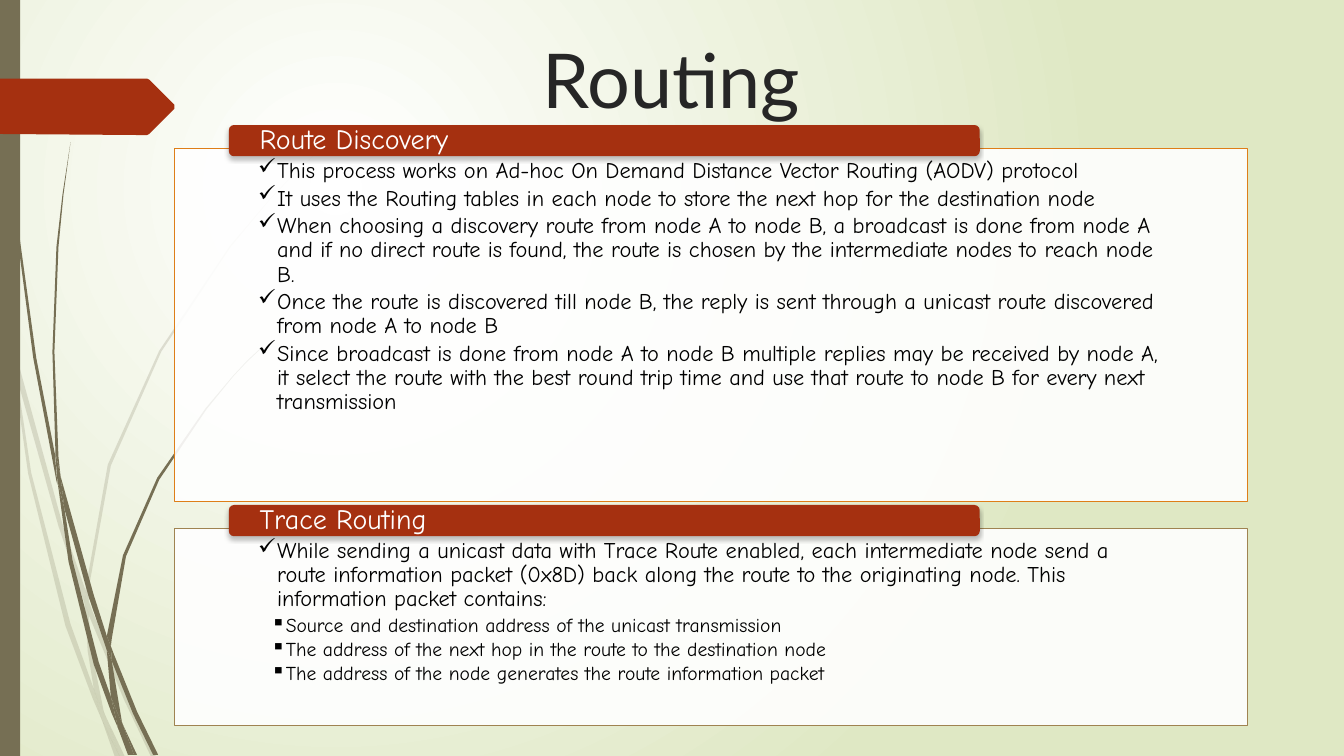
from lxml import etree
from pptx import Presentation
from pptx.dml.color import RGBColor
from pptx.enum.shapes import MSO_SHAPE
from pptx.enum.text import MSO_ANCHOR, PP_ALIGN
from pptx.oxml import parse_xml
from pptx.oxml.ns import nsdecls, qn
from pptx.util import Emu, Inches, Pt

RECT, ROUND_RECT = MSO_SHAPE.RECTANGLE, MSO_SHAPE.ROUNDED_RECTANGLE
TOP, MIDDLE = MSO_ANCHOR.TOP, MSO_ANCHOR.MIDDLE
LEFT, CENTER = PP_ALIGN.LEFT, PP_ALIGN.CENTER

WHITE = RGBColor(0xFF, 0xFF, 0xFF)
BLACK = RGBColor(0, 0, 0)
INK = RGBColor(0x26, 0x26, 0x26)
LIME = RGBColor(0xDF, 0xE8, 0xC4)
OLIVE = RGBColor(0x76, 0x6F, 0x54)
RUST = RGBColor(0xA5, 0x30, 0x10)
ORANGE = RGBColor(0xDE, 0x7E, 0x18)
TAN = RGBColor(0x9F, 0x83, 0x51)
HEAD_FONT, BODY_FONT = "Lato", "Comic Neue"

# Outlines in hundredths of an inch
PALE_WISPS = [
    [(11, 350), (9, 322), (0, 282), (0, 299), (10, 344)],
    [(58, 522), (84, 599), (85, 586), (62, 520), (14, 345), (17, 376)],
    [(92, 607), (88, 596), (88, 610), (123, 694), (150, 751), (155, 751), (127, 692)],
    [(119, 751), (124, 751), (105, 711)],
    [(93, 683), (70, 619), (31, 469), (17, 376), (11, 350), (28, 470), (65, 621),
     (92, 693), (101, 714), (99, 707)],
    [(84, 599), (87, 646), (93, 683), (96, 692), (105, 711), (103, 706), (91, 646),
     (88, 610), (88, 608)],
    [(88, 584), (110, 462), (160, 349), (229, 245), (268, 198), (290, 175), (312, 154),
     (312, 153), (289, 175), (268, 197), (228, 244), (158, 348), (107, 461), (85, 584),
     (85, 586), (88, 596)],
    [(101, 714), (114, 751), (119, 751)],
    [(88, 608), (88, 610), (88, 596), (85, 586), (84, 599)],
    [(96, 692), (93, 683), (99, 707), (101, 714), (119, 751), (105, 711)],
]
DARK_WISPS = [
    [(7, 110), (17, 233), (33, 355), (56, 477), (57, 481), (55, 457), (55, 453),
     (36, 355), (19, 232), (8, 109), (5, 48), (4, 0), (3, 0), (4, 48)],
    [(88, 592), (106, 645), (106, 633), (106, 631), (93, 590), (60, 472), (64, 505)],
    [(113, 649), (110, 641), (111, 656), (132, 708), (152, 749), (157, 749), (136, 706)],
    [(110, 691), (98, 657), (72, 556), (64, 505), (57, 477), (68, 557), (93, 659),
     (111, 708), (117, 722), (116, 717)],
    [(60, 472), (58, 453), (54, 349), (58, 245), (63, 193), (70, 141), (62, 193),
     (56, 245), (52, 349), (55, 449)],
    [(133, 749), (136, 749), (122, 719)],
    [(57, 477), (64, 505), (60, 472), (55, 449), (55, 453)],
    [(111, 633), (125, 552), (158, 476), (205, 406), (231, 374), (245, 359), (261, 344),
     (260, 344), (245, 358), (231, 373), (204, 405), (156, 474), (122, 551), (106, 631),
     (110, 641)],
    [(117, 722), (127, 749), (131, 749)],
    [(106, 645), (110, 691), (116, 706), (122, 719), (121, 716), (111, 656), (109, 651)],
    [(106, 645), (109, 651), (111, 656), (110, 641), (106, 631), (106, 633)],
    [(116, 706), (110, 691), (116, 717), (117, 722), (130, 749), (133, 749), (122, 719)],
]
TAG = [(173, 108), (148, 133), (146, 134), (136, 134), (0, 133), (0, 78), (136, 78),
       (146, 78), (148, 79), (173, 104)]

CHECK, SQUARE = "\u2713", "\u25aa"
DISCOVERY = [(CHECK, t) for t in (
    "This process works on Ad-hoc On Demand Distance Vector Routing (AODV) protocol",
    "It uses the Routing tables in each node to store the next hop for the destination node",
    "When choosing a discovery route from node A to node B, a broadcast is done from node A "
    "and if no direct route is found, the route is chosen by the intermediate nodes to reach "
    "node B.",
    "Once the route is discovered till node B, the reply is sent through a unicast route "
    "discovered from node A to node B",
    "Since broadcast is done from node A to node B multiple replies may be received by node A, "
    "it select the route with the best round trip time and use that route to node B for every "
    "next transmission",
)]
TRACE = [(CHECK, "While sending a unicast data with Trace Route enabled, each intermediate node "
          "send a route information packet (0x8D) back along the route to the originating node. "
          "This information packet contains:")] + [(SQUARE, t) for t in (
    "Source and destination address of the unicast transmission",
    "The address of the next hop in the route to the destination node",
    "The address of the node generates the route information packet",
)]
# Bullet: (text size, left margin, hanging indent)
LEVELS = {CHECK: (16, 0.19, 0.19), SQUARE: (14, 0.25, 0.12)}


def paint(shape, color, alpha=100, line=None):
    """Fill a shape, with optional opacity in percent and outline colour."""
    shape.shadow.inherit = False
    shape.fill.solid()
    shape.fill.fore_color.rgb = color
    if alpha < 100:
        clr = shape.fill._xPr.find(qn("a:solidFill"))[0]
        etree.SubElement(clr, qn("a:alpha")).set("val", str(alpha * 1000))
    if line is None:
        shape.line.fill.background()
    else:
        shape.line.color.rgb = line
        shape.line.width = Pt(0.75)


def write(p, text, size=16, font=BODY_FONT, color=BLACK, align=LEFT, spacing=0.9, after=0):
    """Put formatted text into a paragraph."""
    p.alignment, p.line_spacing, p.space_after = align, spacing, Pt(after)
    r = p.add_run()
    r.text = text
    r.font.size, r.font.name = Pt(size), font
    r.font.color.rgb = color


def add_bullet(p, char, margin, hang):
    """Give a paragraph a bullet with a hanging indent."""
    pPr = p._p.get_or_add_pPr()
    pPr.set("marL", str(Inches(margin)))
    pPr.set("indent", str(-Inches(hang)))
    etree.SubElement(pPr, qn("a:buChar")).set("char", char)


def frame(shape, insets, anchor):
    """Set insets, wrapping and anchor, and return the text frame."""
    tf = shape.text_frame
    tf.word_wrap, tf.vertical_anchor = True, anchor
    tf.margin_left, tf.margin_top, tf.margin_right, tf.margin_bottom = map(Inches, insets)
    return tf


def add_outline(s, points, left, top, color, alpha=100):
    """Draw a closed outline offset from a left and top position."""
    builder = s.shapes.build_freeform(*points[0], scale=Inches(0.01))
    builder.add_line_segments(points[1:], close=True)
    paint(builder.convert_to_shape(Inches(left), Inches(top)), color, alpha)


def add_background(s):
    """Fill the background with a radial gradient."""
    fill = s.background.fill
    fill.gradient()
    for stop, color, position in zip(fill.gradient_stops, (WHITE, LIME), (0, 1)):
        stop.color.rgb, stop.position = color, position
    lin = next(s.background._cSld.iter(qn("a:lin")))
    lin.getparent().replace(lin, parse_xml(
        f'<a:path {nsdecls("a")} path="circle">'
        '<a:fillToRect l="50000" t="50000" r="100000" b="100000"/></a:path>'))


def add_side_decor(s, left, top, height):
    """Draw the wisps, the side bar and the arrow tag."""
    for wisps, alpha in ((PALE_WISPS, 20), (DARK_WISPS, 100)):
        for points in wisps:
            add_outline(s, points, left, top, OLIVE, alpha)
    bar = s.shapes.add_shape(RECT, Inches(left), Inches(top), Inches(0.2), Inches(height))
    paint(bar, OLIVE)
    add_outline(s, TAG, left, top, RUST)


def add_title(s, text, left, top, width, height):
    """Place and format the title."""
    title = s.shapes.title
    title.left, title.top, title.width, title.height = map(Inches, (left, top, width, height))
    tf = frame(title, (0.1, 0.05, 0.1, 0.05), TOP)
    write(tf.paragraphs[0], text, size=54, font=HEAD_FONT, color=INK, align=CENTER, spacing=1)


def add_section(s, heading, items, line, left, top, width, height):
    """Draw a bulleted panel with a heading pill over its top edge."""
    panel = s.shapes.add_shape(RECT, *map(Inches, (left, top, width, height)))
    paint(panel, WHITE, alpha=90, line=line)
    tf = frame(panel, (0.83, 0.11, 0.83, 0.12), TOP)
    for i, (char, text) in enumerate(items):
        p = tf.add_paragraph() if i else tf.paragraphs[0]
        size, margin, hang = LEVELS[char]
        write(p, text, size=size, after=0.15 * size)
        add_bullet(p, char, margin, hang)

    pill = s.shapes.add_shape(ROUND_RECT, *map(Inches, (left + 0.54, top - 0.23, 7.45, 0.31)))
    paint(pill, RUST)
    effects = pill._element.spPr.find(qn("a:effectLst"))
    effects.append(parse_xml(
        f'<a:outerShdw {nsdecls("a")} blurRad="{Pt(3)}" dist="{Pt(2)}" dir="5400000">'
        '<a:srgbClr val="000000"><a:alpha val="25000"/></a:srgbClr></a:outerShdw>'))
    tf = frame(pill, (0.29, 0, 0.29, 0), MIDDLE)
    write(tf.paragraphs[0], heading, size=20, color=WHITE)


def build_routing_slide(prs):
    """Build the routing slide."""
    s = prs.slides.add_slide(prs.slide_layouts[5])
    add_background(s)
    add_side_decor(s, 0, 0, 7.5)
    add_title(s, "Routing", 4.02, 0.28, 5.28, 1.01)
    add_section(s, "Route Discovery", DISCOVERY, ORANGE, 1.73, 1.47, 10.65, 3.51)
    add_section(s, "Trace Routing", TRACE, TAN, 1.73, 5.24, 10.65, 1.96)


prs = Presentation()
prs.slide_width, prs.slide_height = Emu(12192000), Inches(7.5)
build_routing_slide(prs)
prs.save("out.pptx")
